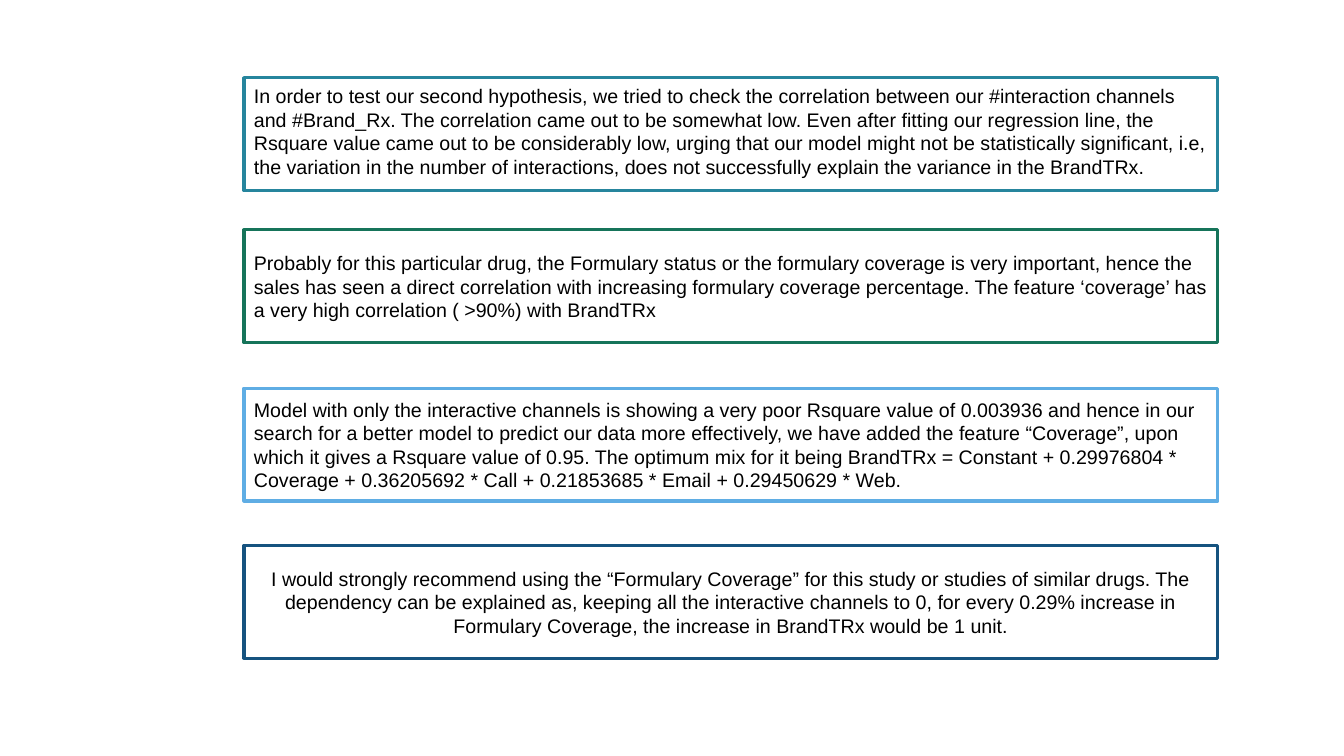
from dataclasses import dataclass

from pptx import Presentation
from pptx.dml.color import RGBColor
from pptx.enum.shapes import MSO_SHAPE
from pptx.enum.text import MSO_ANCHOR, PP_ALIGN
from pptx.util import Inches, Pt


@dataclass(frozen=True)
class Theme:
    """Colours, font and sizes used on the slide."""
    font: str = "Arial"
    text_size: float = 14
    border_width: float = 2.25
    text: str = "000000"
    fill: str = "FFFFFF"
    hypothesis: str = "26859D"
    coverage: str = "16745A"
    model: str = "5FADE4"
    recommendation: str = "16537F"


THEME = Theme()
BOX_LEFT, BOX_WIDTH, BOX_HEIGHT = 2.42, 9.66, 1.12

HYPOTHESIS = (
    "In order to test our second hypothesis, we tried to check the correlation between our "
    "#interaction channels and #Brand_Rx. The correlation came out to be somewhat low. Even "
    "after fitting our regression line, the Rsquare value came out to be considerably low, "
    "urging that our model might not be statistically significant, i.e, the variation in the "
    "number of interactions, does not successfully explain the variance in the BrandTRx."
)
COVERAGE = (
    "Probably for this particular drug, the Formulary status or the formulary coverage is very "
    "important, hence the sales has seen a direct correlation with increasing formulary coverage "
    "percentage. The feature ‘coverage’ has a very high correlation ( >90%) with BrandTRx"
)
MODEL = (
    "Model with only the interactive channels is showing a very poor Rsquare value of 0.003936 "
    "and hence in our search for a better model to predict our data more effectively, we have "
    "added the feature “Coverage”, upon which it gives a Rsquare value of 0.95. The optimum mix "
    "for it being BrandTRx = Constant + 0.29976804 * Coverage + 0.36205692 * Call + "
    "0.21853685 * Email + 0.29450629 * Web."
)
RECOMMENDATION = (
    "I would strongly recommend using the “Formulary Coverage” for this study or studies of "
    "similar drugs. The dependency can be explained as, keeping all the interactive channels to "
    "0, for every 0.29% increase in Formulary Coverage, the increase in BrandTRx would be 1 unit."
)


def add_finding(slide, top, text, border, alignment=PP_ALIGN.LEFT, bottom_margin=0.05):
    """Add one outlined box that holds a finding."""
    shape = slide.shapes.add_shape(
        MSO_SHAPE.RECTANGLE, Inches(BOX_LEFT), Inches(top), Inches(BOX_WIDTH), Inches(BOX_HEIGHT)
    )
    shape.shadow.inherit = False
    shape.fill.solid()
    shape.fill.fore_color.rgb = RGBColor.from_string(THEME.fill)
    shape.line.color.rgb = RGBColor.from_string(border)
    shape.line.width = Pt(THEME.border_width)

    text_frame = shape.text_frame
    text_frame.text = text
    text_frame.word_wrap = True
    text_frame.vertical_anchor = MSO_ANCHOR.MIDDLE
    text_frame.margin_bottom = Inches(bottom_margin)
    paragraph = text_frame.paragraphs[0]
    paragraph.alignment = alignment
    for run in paragraph.runs:
        run.font.name = THEME.font
        run.font.size = Pt(THEME.text_size)
        run.font.color.rgb = RGBColor.from_string(THEME.text)


def main():
    """Build the slide of findings and save it."""
    presentation = Presentation()
    presentation.slide_width = Inches(13.33)
    presentation.slide_height = Inches(7.5)
    slide = presentation.slides.add_slide(presentation.slide_layouts[6])

    add_finding(slide, 0.77, HYPOTHESIS, THEME.hypothesis, bottom_margin=0.11)
    add_finding(slide, 2.28, COVERAGE, THEME.coverage)
    add_finding(slide, 3.85, MODEL, THEME.model)
    add_finding(slide, 5.41, RECOMMENDATION, THEME.recommendation, PP_ALIGN.CENTER)

    presentation.save("out.pptx")


if __name__ == "__main__":
    main()
